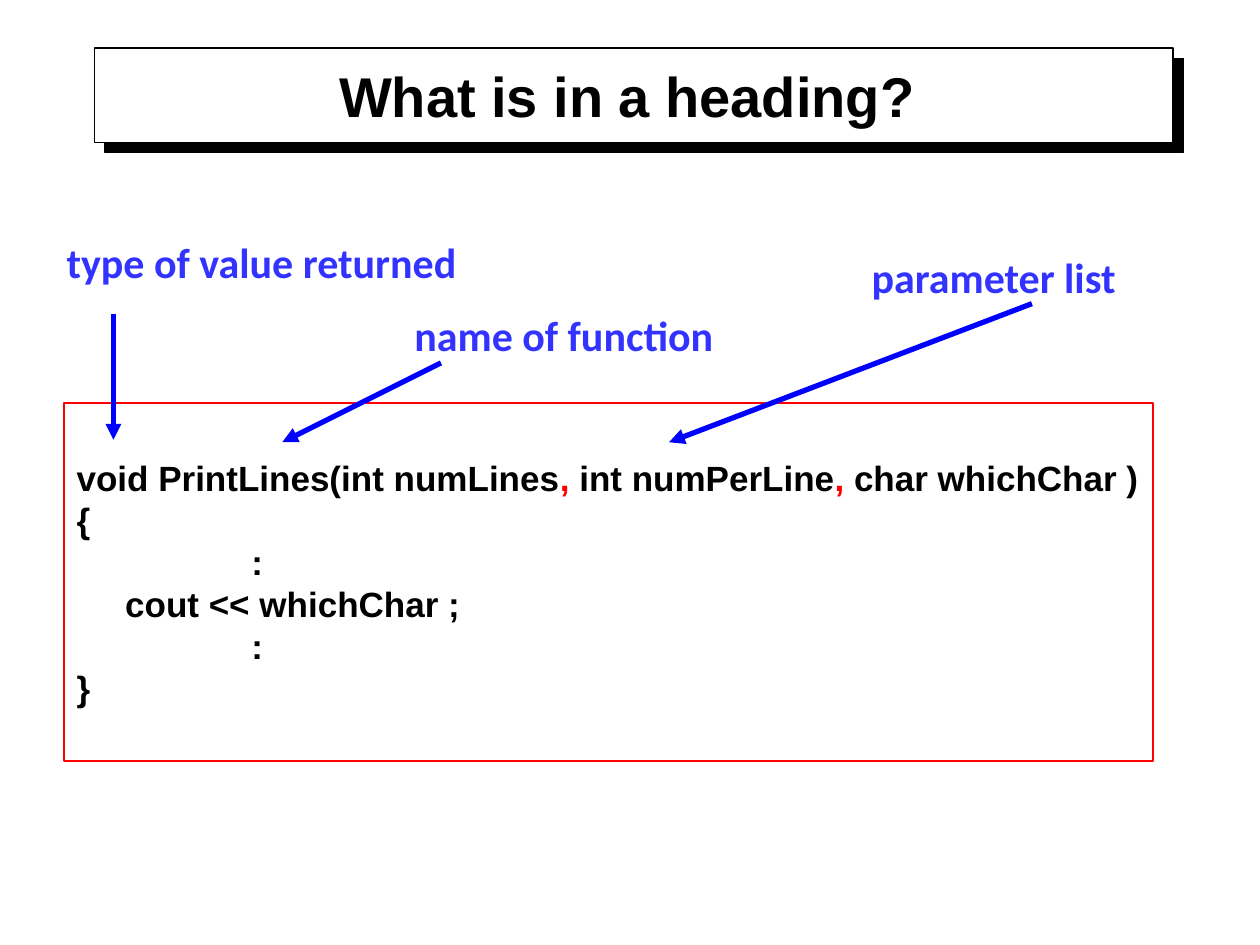
from lxml import etree
from pptx import Presentation
from pptx.dml.color import RGBColor
from pptx.enum.shapes import MSO_CONNECTOR, MSO_SHAPE
from pptx.enum.text import MSO_ANCHOR, PP_ALIGN
from pptx.oxml.ns import qn
from pptx.util import Inches, Pt

BLACK = RGBColor(0x00, 0x00, 0x00)
WHITE = RGBColor(0xFF, 0xFF, 0xFF)
RED = RGBColor(0xFF, 0x00, 0x00)
ARROW_BLUE = RGBColor(0x00, 0x00, 0xFF)
LABEL_BLUE = RGBColor(0x33, 0x33, 0xFF)

RECTANGLE = MSO_SHAPE.RECTANGLE
STRAIGHT = MSO_CONNECTOR.STRAIGHT
LEFT, CENTER = PP_ALIGN.LEFT, PP_ALIGN.CENTER
TOP, MIDDLE, BOTTOM = MSO_ANCHOR.TOP, MSO_ANCHOR.MIDDLE, MSO_ANCHOR.BOTTOM

TITLE_ONLY_LAYOUT = 5
SHADOW_DISTANCE = Pt(8.5)
SHADOW_DIRECTION = 45 * 60000

CODE_LINES = [
    [
        ("void PrintLines(int numLines", BLACK),
        (", ", RED),
        ("int numPerLine", BLACK),
        (",", RED),
        (" char whichChar )", BLACK),
    ],
    [("{", BLACK)],
    [("                  :", BLACK)],
    [("     cout << whichChar ;", BLACK)],
    [("                  :", BLACK)],
    [("}", BLACK)],
]

LABELS = [
    ("type of value returned", (0.43, 1.83, 3.93, 0.9), (0.9, 2.49), (0.9, 3.49)),
    ("name of function", (3.19, 2.41, 2.92, 0.9), (3.5, 2.88), (2.24, 3.51)),
    ("parameter list", (6.82, 1.95, 2.44, 0.9), (8.19, 2.41), (5.31, 3.51)),
]


class HeadingSlide:
    """Draws the elements of one slide in a shared style."""

    heading_font = "Arial"
    label_font = "Calibri"

    def __init__(self, slide):
        self.slide = slide
        self.shapes = slide.shapes

    def format_font(self, paragraph, name, size, color=None):
        font = paragraph.font
        font.name, font.size, font.bold = name, Pt(size), True
        if color is not None:
            font.color.rgb = color

    def rectangle(self, box, line_color, line_width, fill_color=None):
        shape = self.shapes.add_shape(RECTANGLE, *map(Inches, box))
        shape.shadow.inherit = False
        if fill_color is None:
            shape.fill.background()
        else:
            shape.fill.solid()
            shape.fill.fore_color.rgb = fill_color
        shape.line.color.rgb = line_color
        shape.line.width = Pt(line_width)
        return shape

    def banner(self, box):
        shape = self.rectangle(box, BLACK, 0.75, WHITE)
        effects = shape._element.spPr.find(qn("a:effectLst"))
        shadow = etree.SubElement(
            effects,
            qn("a:outerShdw"),
            dist=str(SHADOW_DISTANCE),
            dir=str(SHADOW_DIRECTION),
            algn="ctr",
            rotWithShape="0",
        )
        etree.SubElement(shadow, qn("a:srgbClr"), val=str(BLACK))

    def title(self, text, box):
        title = self.shapes.title
        title.left, title.top, title.width, title.height = map(Inches, box)
        self.shapes._spTree.append(title._element)
        frame = title.text_frame
        frame.text = text
        frame.word_wrap = True
        frame.vertical_anchor = BOTTOM
        paragraph = frame.paragraphs[0]
        paragraph.alignment = CENTER
        self.format_font(paragraph, self.heading_font, 32, BLACK)

    def code(self, lines, box):
        frame = self.rectangle(box, RED, 1).text_frame
        frame.word_wrap = False
        frame.vertical_anchor = MIDDLE
        for index, line in enumerate(lines):
            paragraph = frame.add_paragraph() if index else frame.paragraphs[0]
            paragraph.alignment = LEFT
            self.format_font(paragraph, self.heading_font, 20)
            for text, color in line:
                run = paragraph.add_run()
                run.text = text
                run.font.color.rgb = color

    def label(self, text, box):
        frame = self.shapes.add_textbox(*map(Inches, box)).text_frame
        frame.text = text
        frame.word_wrap = True
        frame.vertical_anchor = TOP
        self.format_font(frame.paragraphs[0], self.label_font, 24, LABEL_BLUE)

    def arrow(self, start, end):
        connector = self.shapes.add_connector(STRAIGHT, *map(Inches, start + end))
        connector.line.color.rgb = ARROW_BLUE
        connector.line.width = Pt(3)
        etree.SubElement(connector.line._get_or_add_ln(), qn("a:tailEnd"), type="triangle")
        etree.SubElement(connector._element.spPr, qn("a:effectLst"))


def main():
    presentation = Presentation()
    presentation.slide_width = Inches(10)
    presentation.slide_height = Inches(7.5)
    layout = presentation.slide_layouts[TITLE_ONLY_LAYOUT]
    heading_slide = HeadingSlide(presentation.slides.add_slide(layout))

    heading_slide.banner((0.75, 0.38, 8.56, 0.75))
    heading_slide.code(CODE_LINES, (0.51, 3.2, 8.64, 2.84))
    heading_slide.title("What is in a heading? ", (0.75, 0.36, 8.58, 0.71))
    for text, box, start, end in LABELS:
        heading_slide.arrow(start, end)
        heading_slide.label(text, box)

    presentation.save("out.pptx")


if __name__ == "__main__":
    main()
